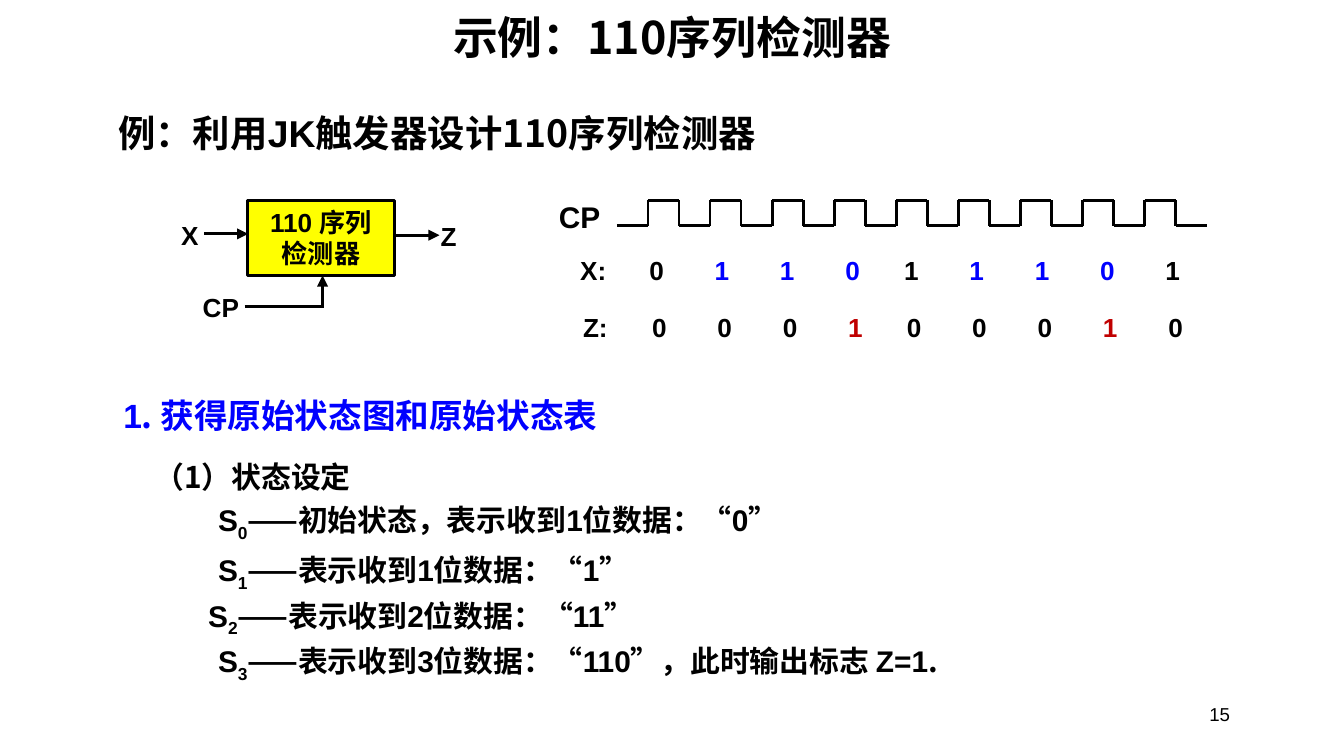
from lxml import etree
from pptx import Presentation
from pptx.dml.color import RGBColor
from pptx.enum import shapes, text
from pptx.oxml import ns
from pptx.util import Pt


class Theme:
    black = RGBColor(0, 0, 0)
    blue = RGBColor(0, 0, 255)
    red = RGBColor(192, 0, 0)
    yellow = RGBColor(255, 255, 0)
    latin, han = "Arial", "Noto Sans CJK SC"
    title, lead, head, body, label, page = 24, 20, 18, 16, 14, 10
    line = 1.5


def write(par, words, size, color=Theme.black, bold=True):
    """Add runs to par; bars switch between the Han and the Latin font."""
    for i, part in enumerate(words.split("|")):
        if part:
            run = par.add_run()
            run.text = part
            font = run.font
            font.size, font.bold = Pt(size), bold
            font.color.rgb = color
            font.name = Theme.latin if i % 2 else Theme.han
            east = etree.SubElement(font._element, ns.qn("a:ea"))
            east.set("typeface", Theme.han)


def wire(x1, y1, x2, y2, arrow=False):
    link = slide.shapes.add_connector(
        shapes.MSO_CONNECTOR.STRAIGHT, Pt(x1), Pt(y1), Pt(x2), Pt(y2))
    link.line.color.rgb = Theme.black
    link.line.width = Pt(Theme.line)
    if arrow:
        tip = etree.SubElement(link.line._get_or_add_ln(), ns.qn("a:tailEnd"))
        tip.set("type", "triangle")
    etree.SubElement(link._element.spPr, ns.qn("a:effectLst"))


deck = Presentation()
deck.slide_width, deck.slide_height = Pt(720), Pt(405)
slide = deck.slides.add_slide(deck.slide_layouts[1])

# Title
title = slide.shapes.title
title.left, title.top, title.width, title.height = Pt(54), Pt(6.5), Pt(612), Pt(26)
frame = title.text_frame
frame.auto_size = text.MSO_AUTO_SIZE.NONE
frame.vertical_anchor = text.MSO_ANCHOR.MIDDLE
frame.paragraphs[0].alignment = text.PP_ALIGN.CENTER
write(frame.paragraphs[0], "示例：110序列检测器", Theme.title)

# Detector block with its input, clock and output
block = slide.shapes.add_shape(
    shapes.MSO_SHAPE.RECTANGLE, Pt(132.5), Pt(107.3), Pt(79), Pt(40.3))
block.shadow.inherit = False
block.fill.solid()
block.fill.fore_color.rgb = Theme.yellow
block.line.color.rgb = Theme.black
block.line.width = Pt(Theme.line)
frame = block.text_frame
frame.word_wrap = False
frame.vertical_anchor = text.MSO_ANCHOR.MIDDLE
for par, words in ((frame.paragraphs[0], "|110 |序列"), (frame.add_paragraph(), "检测器")):
    par.alignment = text.PP_ALIGN.CENTER
    write(par, words, Theme.label)

wire(109.4, 125.3, 133, 125.3, arrow=True)
wire(212.4, 126, 235.4, 126, arrow=True)
wire(131, 164.4, 173.5, 164.4)
wire(172.8, 165, 172.8, 147.6, arrow=True)

# Clock wave: nine pulses, each half a period wide
half, high, low = 16.63, 107.3, 121
start = 330.5
wire(start, low, start + half, low)
for i in range(9):
    rise = start + half * (2 * i + 1)
    fall = rise + half
    wire(rise, low, rise, high)
    wire(rise, high, fall, high)
    wire(fall, high, fall, low)
    wire(fall, low, fall + half, low)

# Single-line texts: left, top, width, height, size, colour, words
for left, top, wide, tall, size, color, words in (
    (56.2, 55.4, 400, 32, Theme.lead, Theme.black, "例：利用|JK|触发器设计110序列检测器"),
    (59, 208, 318, 29, Theme.head, Theme.blue, "|1|. 获得原始状态图和原始状态表"),
    (90, 113.8, 24.5, 24.5, Theme.label, Theme.black, "|X"),
    (101.5, 152.6, 37, 24.5, Theme.label, Theme.black, "|CP"),
    (229, 114.5, 31, 24.5, Theme.label, Theme.black, "|Z"),
    (292.3, 103, 60, 26.6, Theme.body, Theme.black, "|CP"),
):
    box = slide.shapes.add_textbox(Pt(left), Pt(top), Pt(wide), Pt(tall))
    box.text_frame.word_wrap = True
    write(box.text_frame.paragraphs[0], words, size, color)

# Input and output bits, one tab stop per clock pulse
for left, top, name, bits, marks, color in (
    (303.8, 132.5, "X:", "011011101", (1, 2, 3, 5, 6, 7), Theme.blue),
    (305.3, 163.4, "Z:", "000100010", (3, 7), Theme.red),
):
    box = slide.shapes.add_textbox(Pt(left), Pt(top), Pt(355), Pt(24.5))
    box.text_frame.word_wrap = True
    par = box.text_frame.paragraphs[0]
    stops = etree.SubElement(par._p.get_or_add_pPr(), ns.qn("a:tabLst"))
    for i in range(len(bits)):
        stop = etree.SubElement(stops, ns.qn("a:tab"))
        stop.set("pos", str(Pt(37 + 35 * i - (3.5 if i > 3 else 0))))
        stop.set("algn", "l")
    write(par, "|" + name, Theme.label)
    for i, bit in enumerate(bits):
        write(par, "|\t" + bit, Theme.label, color if i in marks else Theme.black)

# State list: indent, space before, line spacing, words
body = slide.placeholders[1]
body.left, body.top, body.width, body.height = Pt(75.6), Pt(242), Pt(487), Pt(124.6)
frame = body.text_frame
frame.auto_size = text.MSO_AUTO_SIZE.NONE
frame.vertical_anchor = text.MSO_ANCHOR.TOP
for i, (indent, before, lines, words) in enumerate((
    (0, 0, 1, "（1）状态设定"),
    (34, 4, 1, "|S||0|——初始状态，表示收到|1|位数据：“|0|”"),
    (34, 8, 0.75, "|S||1|——表示收到|1|位数据：“|1|”"),
    (28.7, 8, 0.75, "|S||2|——表示收到|2|位数据：“|11|”"),
    (34, 8, 0.75, "|S||3|——表示收到|3|位数据：“|110|”，此时输出标志 |Z=1|."),
)):
    par = frame.add_paragraph() if i else frame.paragraphs[0]
    props = par._p.get_or_add_pPr()
    props.set("marL", str(Pt(indent)))
    props.set("indent", "0")
    etree.SubElement(props, ns.qn("a:buNone"))
    par.space_before, par.line_spacing = Pt(before), lines
    write(par, words, Theme.body)
    if i:
        par.runs[1].font._element.set("baseline", "-25000")

# Page number
box = slide.shapes.add_textbox(Pt(516), Pt(368.6), Pt(150), Pt(27.4))
box.text_frame.word_wrap = True
box.text_frame.vertical_anchor = text.MSO_ANCHOR.MIDDLE
par = box.text_frame.paragraphs[0]
par.alignment = text.PP_ALIGN.RIGHT
write(par, "|15", Theme.page, bold=False)

deck.save("out.pptx")
